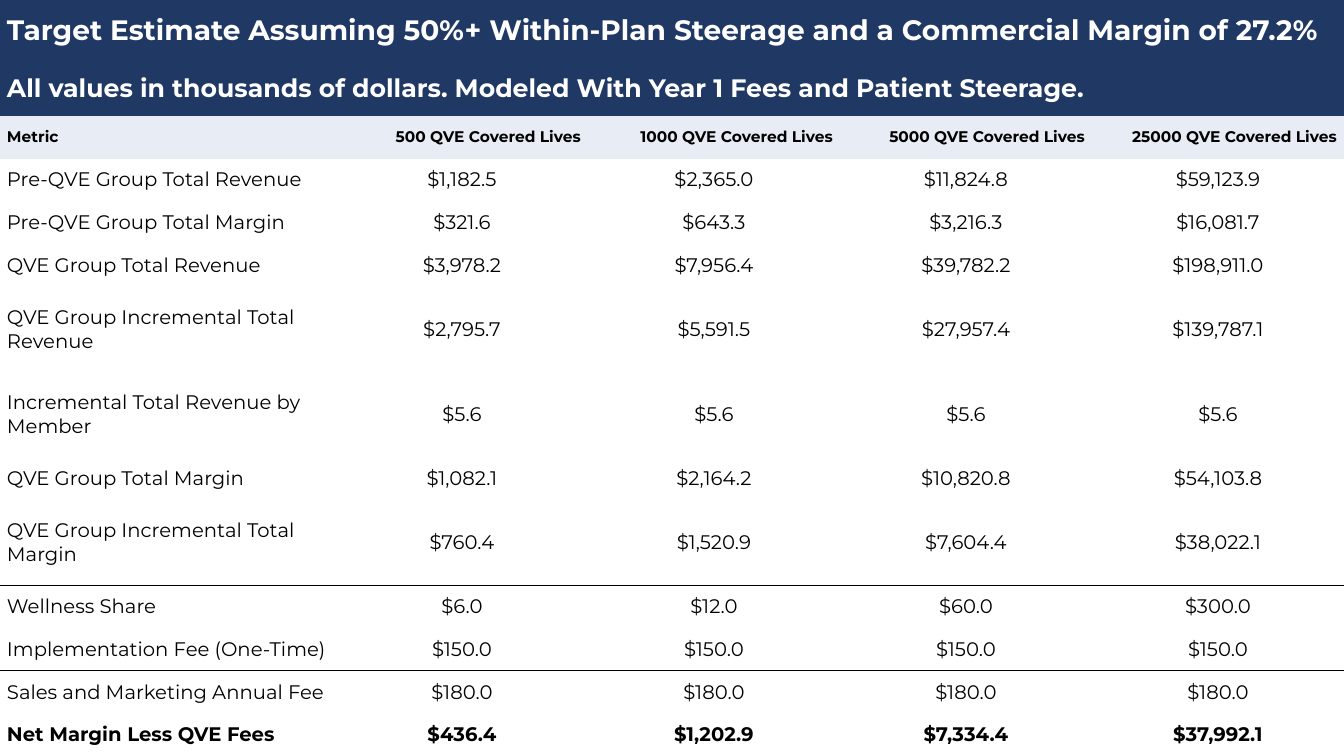
from lxml import etree
from pptx import Presentation
from pptx.dml import color
from pptx.enum import text
from pptx.oxml import ns
from pptx.util import Pt

COLORS = {"navy": "203864", "pale": "E7ECF5", "white": "FFFFFF", "black": "000000"}
FONT = "Montserrat"
NO_GRID_STYLE = "{2D5ABB26-0587-4C30-8999-92F81FD0307C}"

BANNERS = [
    ("Target Estimate Assuming 50%+ Within-Plan Steerage and a Commercial Margin of 27.2%", 20, 43.2),
    ("All values in thousands of dollars. Modeled With Year 1 Fees and Patient Steerage.", 18, 39.6),
]
HEADINGS = [
    "Metric",
    "500 QVE Covered Lives",
    "1000 QVE Covered Lives",
    "5000 QVE Covered Lives",
    "25000 QVE Covered Lives",
]
METRICS = [
    ("Pre-QVE Group Total Revenue", "$1,182.5", "$2,365.0", "$11,824.8", "$59,123.9"),
    ("Pre-QVE Group Total Margin", "$321.6", "$643.3", "$3,216.3", "$16,081.7"),
    ("QVE Group Total Revenue", "$3,978.2", "$7,956.4", "$39,782.2", "$198,911.0"),
    ("QVE Group Incremental Total Revenue", "$2,795.7", "$5,591.5", "$27,957.4", "$139,787.1"),
    ("Incremental Total Revenue by Member", "$5.6", "$5.6", "$5.6", "$5.6"),
    ("QVE Group Total Margin", "$1,082.1", "$2,164.2", "$10,820.8", "$54,103.8"),
    ("QVE Group Incremental Total Margin", "$760.4", "$1,520.9", "$7,604.4", "$38,022.1"),
    ("Wellness Share", "$6.0", "$12.0", "$60.0", "$300.0"),
    ("Implementation Fee (One-Time)", "$150.0", "$150.0", "$150.0", "$150.0"),
    ("Sales and Marketing Annual Fee", "$180.0", "$180.0", "$180.0", "$180.0"),
    ("Net Margin Less QVE Fees", "$436.4", "$1,202.9", "$7,334.4", "$37,992.1"),
]
TALL = {
    "QVE Group Incremental Total Revenue",
    "Incremental Total Revenue by Member",
    "QVE Group Incremental Total Margin",
}
RULED_BELOW = {"QVE Group Incremental Total Margin", "Implementation Fee (One-Time)"}
NET_MARGIN = METRICS[-1][0]

COLUMN_WIDTHS = [240] + [180] * 4
ROW_HEIGHT = 30.5
CELL_INSET = 5


def write_cell(cell, wording, size, ink, bold, align, fill=None):
    cell.margin_left = cell.margin_right = Pt(CELL_INSET)
    cell.margin_top = cell.margin_bottom = 0
    cell.vertical_anchor = text.MSO_ANCHOR.MIDDLE
    if fill:
        cell.fill.solid()
        cell.fill.fore_color.rgb = color.RGBColor.from_string(COLORS[fill])
    else:
        cell.fill.background()
    paragraph = cell.text_frame.paragraphs[0]
    paragraph.alignment = align
    run = paragraph.add_run()
    run.text = wording
    run.font.name = FONT
    run.font.size = Pt(size)
    run.font.bold = bold
    run.font.color.rgb = color.RGBColor.from_string(COLORS[ink])


def rule_below(cell):
    line = etree.Element(ns.qn("a:lnB"), w=str(Pt(1)))
    solid = etree.SubElement(line, ns.qn("a:solidFill"))
    etree.SubElement(solid, ns.qn("a:srgbClr"), val=COLORS["black"])
    cell._tc.get_or_add_tcPr().insert(0, line)


def main():
    deck = Presentation()
    deck.slide_width, deck.slide_height = Pt(960), Pt(540)
    slide = deck.slides.add_slide(deck.slide_layouts[6])

    heights = [height for _, _, height in BANNERS] + [ROW_HEIGHT]
    heights += [ROW_HEIGHT * (2 if metric[0] in TALL else 1) for metric in METRICS]
    estimate = slide.shapes.add_table(
        len(heights), len(COLUMN_WIDTHS), 0, 0, Pt(sum(COLUMN_WIDTHS)), Pt(sum(heights))
    ).table
    estimate.first_row = estimate.horz_banding = False
    estimate._tbl.tblPr.find(ns.qn("a:tableStyleId")).text = NO_GRID_STYLE
    for column, width in zip(estimate.columns, COLUMN_WIDTHS):
        column.width = Pt(width)
    for row, height in zip(estimate.rows, heights):
        row.height = Pt(height)

    left, center, right = text.PP_ALIGN.LEFT, text.PP_ALIGN.CENTER, text.PP_ALIGN.RIGHT
    for r, (wording, size, _) in enumerate(BANNERS):
        banner = estimate.cell(r, 0)
        banner.merge(estimate.cell(r, len(COLUMN_WIDTHS) - 1))
        write_cell(banner, wording, size, "white", True, left, "navy")

    heading_row = len(BANNERS)
    for c, heading in enumerate(HEADINGS):
        write_cell(estimate.cell(heading_row, c), heading, 11, "black", True, right if c else left, "pale")

    for r, metric in enumerate(METRICS, heading_row + 1):
        for c, wording in enumerate(metric):
            cell = estimate.cell(r, c)
            write_cell(cell, wording, 14, "black", metric[0] == NET_MARGIN, center if c else left)
            if metric[0] in RULED_BELOW:
                rule_below(cell)

    deck.save("out.pptx")


if __name__ == "__main__":
    main()
